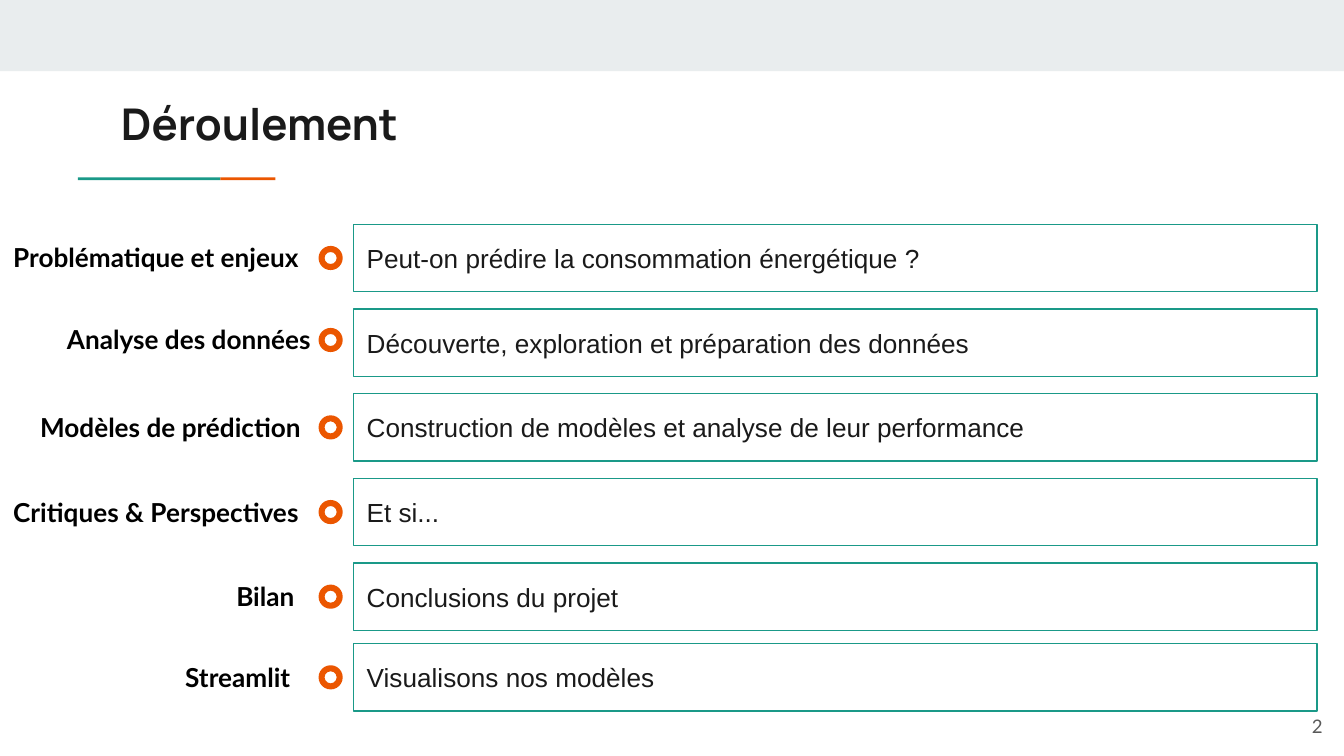
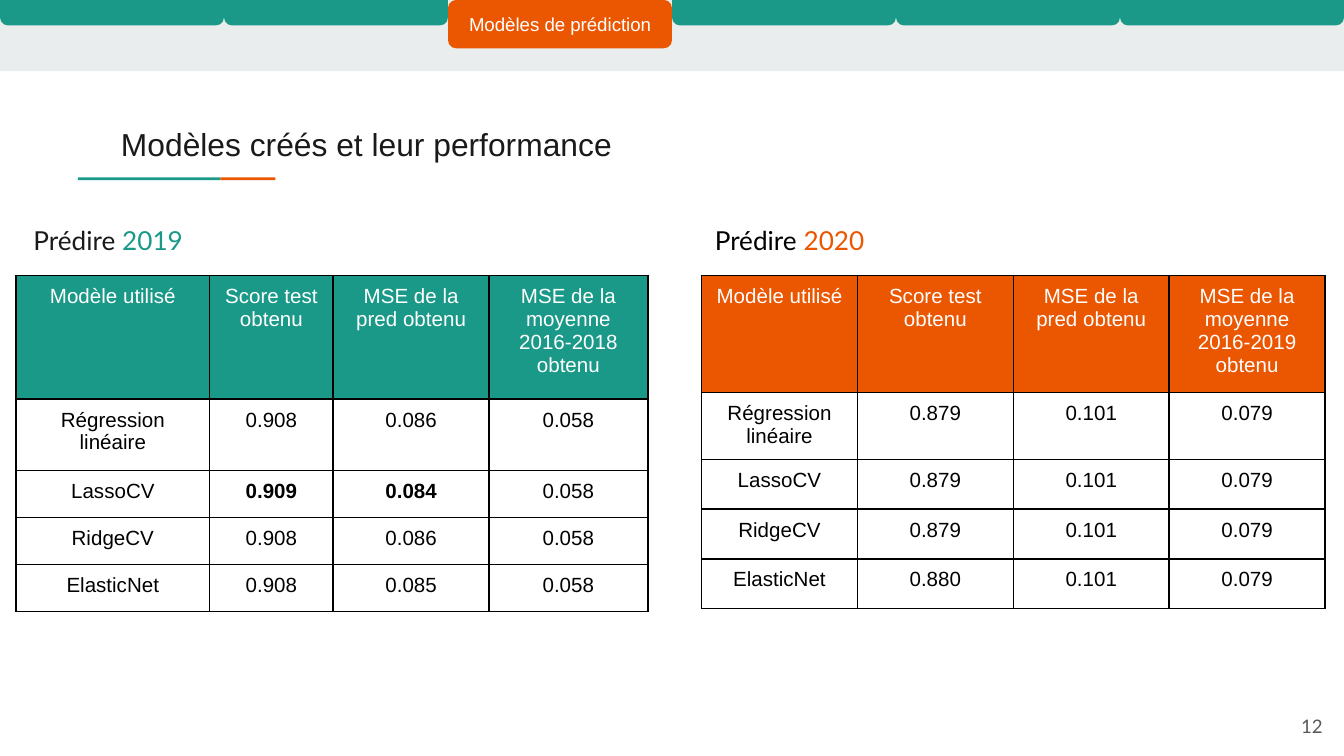
from pptx import Presentation
from pptx.dml.color import RGBColor
from pptx.enum.shapes import MSO_SHAPE
from pptx.enum.text import MSO_ANCHOR, MSO_AUTO_SIZE, PP_ALIGN
from pptx.oxml import parse_xml
from pptx.oxml.ns import nsdecls
from pptx.util import Inches, Pt

GREEN, ORANGE, BAND = "1A9988", "EB5600", "E9EDEE"
INK, GREY, BLACK, WHITE = "1A1A1A", "595959", "000000", "FFFFFF"
TITLE_LEFT = 0.8
TAB_COUNT = 6
AGENDA_TOP, AGENDA_STEP, LAST_TOP = 1.67, 0.63, 4.79
LABEL_RIGHT = 2.46

# label left, label offset from the row top, label, description
AGENDA = [
    (0, 0.03, "Problématique et enjeux", "Peut-on prédire la consommation énergétique ?"),
    (0.4, 0.01, "Analyse des données", "Découverte, exploration et préparation des données"),
    (0.2, 0.03, "Modèles de prédiction", "Construction de modèles et analyse de leur performance"),
    (0, 0.03, "Critiques & Perspectives", "Et si..."),
    (1.66, 0.03, "Bilan", "Conclusions du projet"),
    (1.28, 0.03, "Streamlit", "Visualisons nos modèles"),
]

SCORES_2019 = [
    ("Régression linéaire", "0.908", "0.086", "0.058"),
    ("LassoCV", "0.909", "0.084", "0.058"),
    ("RidgeCV", "0.908", "0.086", "0.058"),
    ("ElasticNet", "0.908", "0.085", "0.058"),
]
SCORES_2020 = [
    ("Régression linéaire", "0.879", "0.101", "0.079"),
    ("LassoCV", "0.879", "0.101", "0.079"),
    ("RidgeCV", "0.879", "0.101", "0.079"),
    ("ElasticNet", "0.880", "0.101", "0.079"),
]


def rgb(color):
    return RGBColor.from_string(color)


def add_run(p, text, size, font="Arial", color=INK, bold=False):
    r = p.add_run()
    r.text = text
    r.font.size = Pt(size)
    r.font.name = font
    r.font.color.rgb = rgb(color)
    r.font.bold = bold


def format_frame(tf, anchor=MSO_ANCHOR.TOP, align=PP_ALIGN.LEFT):
    """Set the common margins and return the first paragraph."""
    tf.word_wrap = True
    tf.auto_size = MSO_AUTO_SIZE.NONE
    tf.vertical_anchor = anchor
    tf.margin_left = tf.margin_right = tf.margin_top = tf.margin_bottom = Inches(0.1)
    p = tf.paragraphs[0]
    p.alignment = align
    return p


def add_box(s, kind, left, top, width, height, fill=None, line=None):
    sp = s.shapes.add_shape(kind, Inches(left), Inches(top), Inches(width), Inches(height))
    sp.shadow.inherit = False
    if fill:
        sp.fill.solid()
        sp.fill.fore_color.rgb = rgb(fill)
    else:
        sp.fill.background()
    if line:
        sp.line.color.rgb = rgb(line)
        sp.line.width = Pt(0.75)
    else:
        sp.line.fill.background()
    return sp


def add_text(s, left, top, width, height, **frame):
    sp = s.shapes.add_textbox(Inches(left), Inches(top), Inches(width), Inches(height))
    return format_frame(sp.text_frame, **frame)


def add_slide(prs, number):
    """Add a slide with the top band, the accent line and the page number."""
    s = prs.slides.add_slide(prs.slide_layouts[5])
    add_box(s, MSO_SHAPE.RECTANGLE, 0, 0, 10, 0.53, BAND)
    add_box(s, MSO_SHAPE.RECTANGLE, 0.58, 1.32, 1.06, 0.02, GREEN)
    add_box(s, MSO_SHAPE.RECTANGLE, 1.64, 1.32, 0.41, 0.02, ORANGE)
    p = add_text(s, 9.34, 5.19, 0.6, 0.43, anchor=MSO_ANCHOR.MIDDLE, align=PP_ALIGN.RIGHT)
    add_run(p, str(number), 10, "Lato", GREY)
    return s


def set_title(s, text, top, width, height, size, font, bold=False):
    title = s.shapes.title
    title.left, title.top = Inches(TITLE_LEFT), Inches(top)
    title.width, title.height = Inches(width), Inches(height)
    add_run(format_frame(title.text_frame), text, size, font, bold=bold)


def add_agenda_row(s, top, label_left, label_offset, label, description):
    box = add_box(s, MSO_SHAPE.RECTANGLE, 2.63, top, 7.17, 0.5, WHITE, GREEN)
    add_run(format_frame(box.text_frame, MSO_ANCHOR.MIDDLE), description, 14)
    label_top = top + label_offset
    tag = add_box(s, MSO_SHAPE.RECTANGLE, label_left, label_top,
                  LABEL_RIGHT - label_left, 0.44, line=WHITE)
    add_run(format_frame(tag.text_frame), label, 14, "Lato", BLACK, True)
    add_box(s, MSO_SHAPE.DONUT, 2.37, label_top + 0.13, 0.18, 0.18, ORANGE)


def add_tabs(s, active, text):
    width = 10 / TAB_COUNT
    for i in range(TAB_COUNT):
        top, fill = (0, ORANGE) if i == active else (-0.17, GREEN)
        tab = add_box(s, MSO_SHAPE.ROUNDED_RECTANGLE, i * width, top, width, 0.36, fill)
        if i == active:
            p = format_frame(tab.text_frame, MSO_ANCHOR.MIDDLE, PP_ALIGN.CENTER)
            add_run(p, text, 10, color=WHITE)


def set_borders(cell):
    tcPr = cell._tc.get_or_add_tcPr()
    for i, side in enumerate(("lnL", "lnR", "lnT", "lnB")):
        tcPr.insert(i, parse_xml(
            f'<a:{side} {nsdecls("a")} w="12700"><a:solidFill>'
            f'<a:srgbClr val="{BLACK}"/></a:solidFill></a:{side}>'))


def fill_cell(cell, text, color, fill=None, bold=False):
    cell.margin_left = cell.margin_right = cell.margin_top = cell.margin_bottom = Inches(0.07)
    if fill:
        cell.fill.solid()
        cell.fill.fore_color.rgb = rgb(fill)
    else:
        cell.fill.background()
    p = cell.text_frame.paragraphs[0]
    p.alignment = PP_ALIGN.CENTER
    add_run(p, text, 11, color=color, bold=bold)
    set_borders(cell)


def add_scores(s, left, period, scores, widths, heights, fill, best=()):
    """Add a score table; best holds the values set in bold."""
    header = ("Modèle utilisé", "Score test obtenu", "MSE de la pred obtenu",
              f"MSE de la moyenne {period} obtenu")
    rows = [header, *scores]
    frame = s.shapes.add_table(len(rows), len(header), Inches(left), Inches(2.05),
                               Inches(sum(widths)), Inches(sum(heights)))
    table = frame.table
    table.first_row = table.horz_banding = False
    for column, width in zip(table.columns, widths):
        column.width = Inches(width)
    for row, height in zip(table.rows, heights):
        row.height = Inches(height)
    for i, row in enumerate(rows):
        for j, text in enumerate(row):
            if i == 0:
                fill_cell(table.cell(i, j), text, WHITE, fill)
            else:
                fill_cell(table.cell(i, j), text, BLACK, bold=text in best)


def add_year(s, left, year, color, text_color):
    p = add_text(s, left, 1.57, 1.85, 0.44)
    add_run(p, "Prédire ", 14, "Lato", text_color)
    add_run(p, year, 14, "Lato", color)


def build_agenda(prs):
    s = add_slide(prs, 2)
    set_title(s, "Déroulement", 0.62, 8.41, 0.59, 23.4, "Manrope", True)
    for i, row in enumerate(AGENDA):
        add_agenda_row(s, min(AGENDA_TOP + i * AGENDA_STEP, LAST_TOP), *row)


def build_performance(prs):
    s = add_slide(prs, 12)
    add_tabs(s, 2, "Modèles de prédiction")
    set_title(s, "Modèles créés et leur performance", 0.83, 7.2, 0.49, 17, "Arial")
    add_year(s, 0.15, "2019", GREEN, INK)
    add_scores(s, 0.12, "2016-2018", SCORES_2019, [1.44, 0.92, 1.16, 1.18],
               [0.92, 0.53] + [0.35] * 3, GREEN, best=("0.909", "0.084"))
    add_year(s, 5.22, "2020", ORANGE, BLACK)
    add_scores(s, 5.22, "2016-2019", SCORES_2020, [1.16] * 4,
               [0.87, 0.5] + [0.37] * 3, ORANGE)


def main():
    prs = Presentation()
    prs.slide_width = Inches(10)
    prs.slide_height = prs.slide_width * 9 // 16
    build_agenda(prs)
    build_performance(prs)
    prs.save("out.pptx")


if __name__ == "__main__":
    main()
